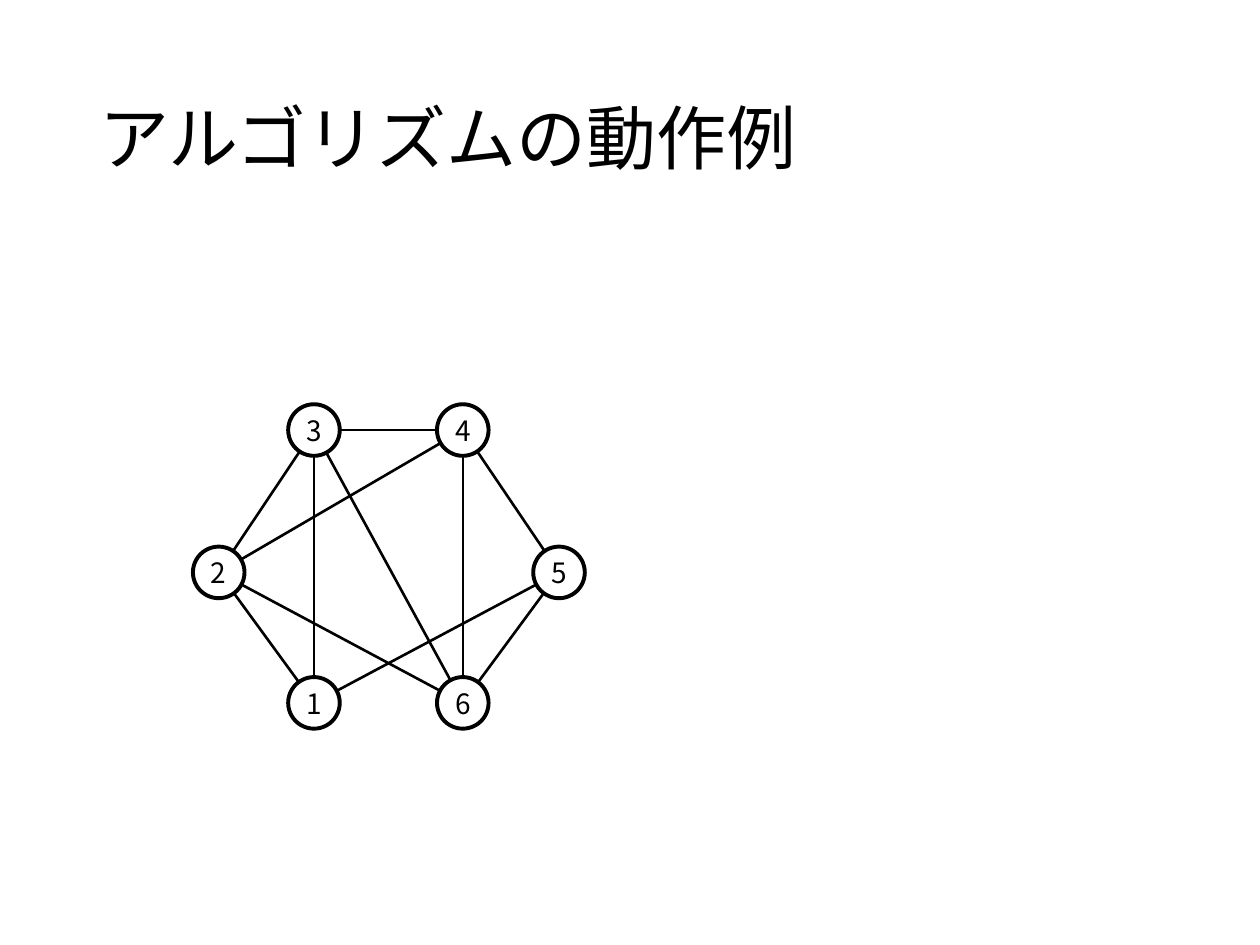
from dataclasses import dataclass

from lxml import etree
from pptx import Presentation
from pptx.dml.color import RGBColor
from pptx.enum.shapes import MSO_CONNECTOR, MSO_SHAPE
from pptx.enum.text import MSO_ANCHOR, PP_ALIGN
from pptx.oxml.ns import qn
from pptx.util import Cm, Pt

STRAIGHT = MSO_CONNECTOR.STRAIGHT
OVAL = MSO_SHAPE.OVAL
MIDDLE = MSO_ANCHOR.MIDDLE
LEFT, CENTER = PP_ALIGN.LEFT, PP_ALIGN.CENTER


@dataclass(frozen=True)
class Theme:
    font: str = "Noto Sans CJK JP"
    ink: RGBColor = RGBColor(0, 0, 0)
    paper: RGBColor = RGBColor(255, 255, 255)
    title_size: int = 40
    node_size: int = 16
    edge_width: float = 1.5
    node_width: float = 2.25


theme = Theme()


def write_text(box, text, size, align=LEFT, line_spacing=1.0, inset_x=0.25, inset_y=0.13):
    frame = box.text_frame
    frame.word_wrap = True
    frame.vertical_anchor = MIDDLE
    frame.margin_left = frame.margin_right = Cm(inset_x)
    frame.margin_top = frame.margin_bottom = Cm(inset_y)
    para = frame.paragraphs[0]
    para.alignment = align
    para.line_spacing = line_spacing
    span = para.add_run()
    span.text = text
    span.font.size = Pt(size)
    span.font.name = theme.font
    span.font.color.rgb = theme.ink
    east_asian = etree.SubElement(span.font._element, qn("a:ea"))
    east_asian.set("typeface", theme.font)


deck = Presentation()
deck.slide_width, deck.slide_height = Cm(25.4), Cm(19.05)
page = deck.slides.add_slide(deck.slide_layouts[6])

title = page.shapes.add_textbox(Cm(1.75), Cm(1.02), Cm(21.9), Cm(3.68))
write_text(title, "アルゴリズムの動作例", theme.title_size, line_spacing=0.9)

diameter = 1.04
left, right = 6.33, 9.33
top, middle, bottom = 8.67, 11.54, 14.17
centers = {
    1: (left, bottom),
    2: (4.41, middle),
    3: (left, top),
    4: (right, top),
    5: (11.27, middle),
    6: (right, bottom),
}
edges = [(1, 2), (1, 3), (1, 5), (2, 3), (2, 4), (2, 6), (3, 4), (3, 6), (4, 5), (4, 6), (5, 6)]

for start, end in edges:
    points = [Cm(value) for value in centers[start] + centers[end]]
    edge = page.shapes.add_connector(STRAIGHT, *points)
    edge.line.color.rgb = theme.ink
    edge.line.width = Pt(theme.edge_width)
    etree.SubElement(edge._element.spPr, qn("a:effectLst"))

for number, (x, y) in centers.items():
    node = page.shapes.add_shape(
        OVAL, Cm(x - diameter / 2), Cm(y - diameter / 2), Cm(diameter), Cm(diameter)
    )
    node.shadow.inherit = False
    node.fill.solid()
    node.fill.fore_color.rgb = theme.paper
    node.line.color.rgb = theme.ink
    node.line.width = Pt(theme.node_width)
    write_text(node, str(number), theme.node_size, align=CENTER, inset_x=0.18, inset_y=0.1)

deck.save("out.pptx")
